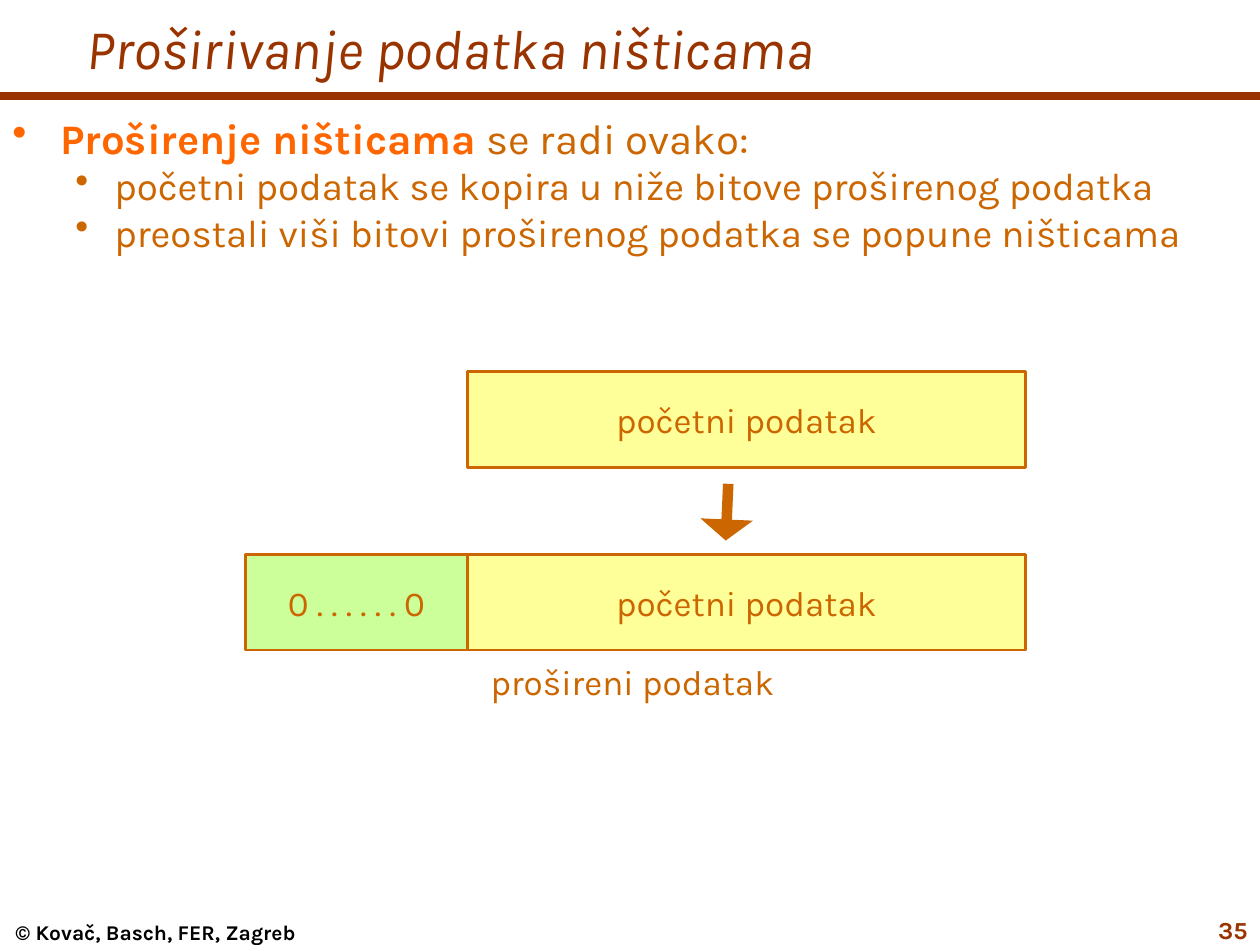
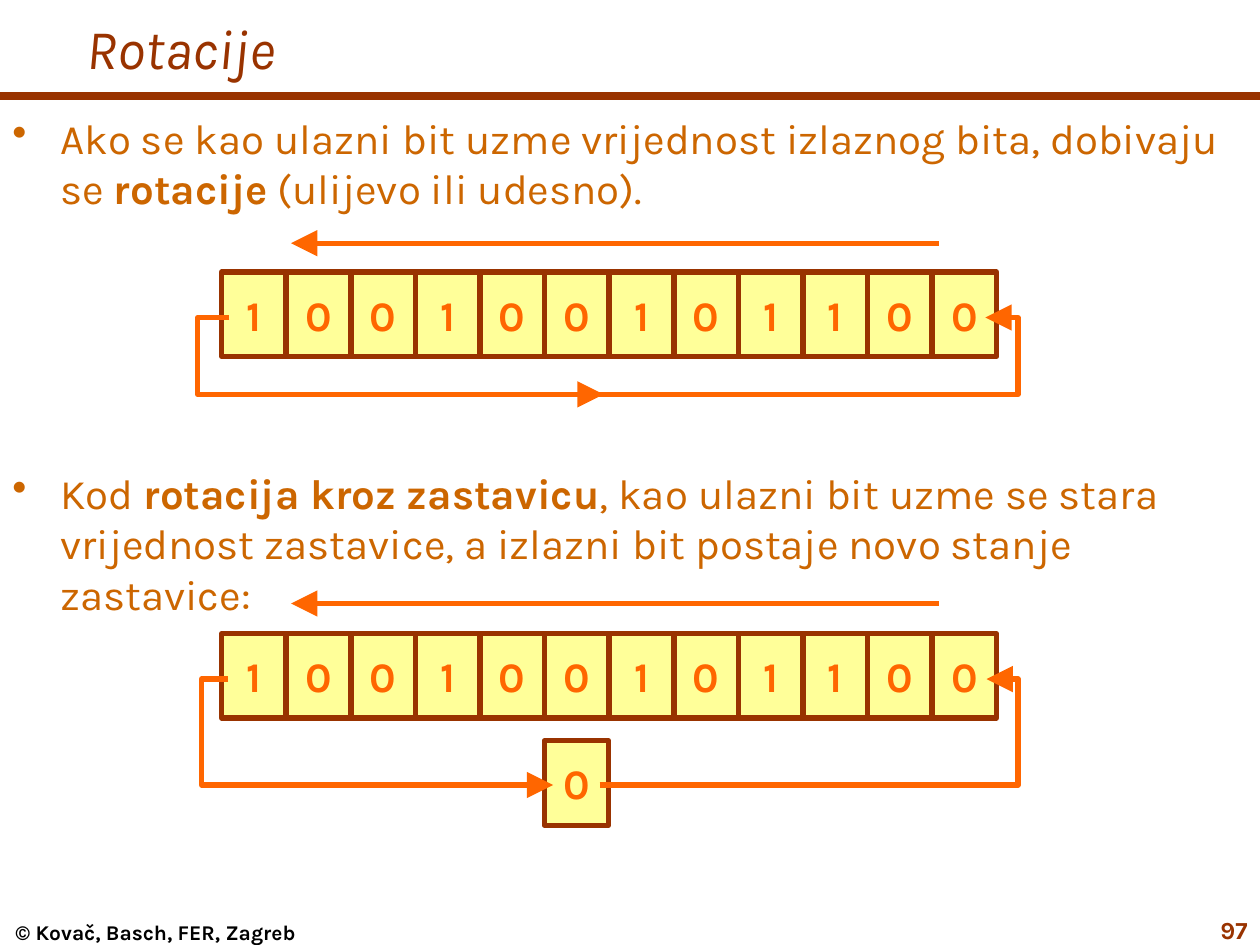
"""Build two lecture slides on extending data with zeros and on bit rotations."""
import pptx
import pptx.dml.color
import pptx.enum.shapes
import pptx.enum.text
import pptx.oxml.ns
import pptx.util
from lxml import etree

Inches = pptx.util.Inches
RGBColor = pptx.dml.color.RGBColor
Align = pptx.enum.text.PP_ALIGN
Anchor = pptx.enum.text.MSO_ANCHOR
qn = pptx.oxml.ns.qn
RECTANGLE = pptx.enum.shapes.MSO_SHAPE.RECTANGLE
STRAIGHT = pptx.enum.shapes.MSO_CONNECTOR.STRAIGHT

FONT = "Karla"
BLACK = RGBColor(0x00, 0x00, 0x00)
BROWN = RGBColor(0x99, 0x33, 0x00)
OCHRE = RGBColor(0xCC, 0x66, 0x00)
ORANGE = RGBColor(0xFF, 0x66, 0x00)
YELLOW = RGBColor(0xFF, 0xFF, 0x99)
GREEN = RGBColor(0xCC, 0xFF, 0x99)


def write_text(shape, paragraphs, size, color, align=Align.LEFT, anchor=Anchor.TOP,
               bold=False, italic=False, inset=(0.1, 0.05)):
    """Fill a shape with (runs, indents, size) paragraphs; a run is (text, bold, color)."""
    frame = shape.text_frame
    frame.word_wrap = True
    frame.vertical_anchor = anchor
    frame.margin_left = frame.margin_right = Inches(inset[0])
    frame.margin_top = frame.margin_bottom = Inches(inset[1])
    if isinstance(paragraphs, str):
        paragraphs = [([(paragraphs, bold, color)], None, size)]
    for index, (runs, indents, points) in enumerate(paragraphs):
        paragraph = frame.add_paragraph() if index else frame.paragraphs[0]
        paragraph.alignment = align
        if indents:
            properties = paragraph._p.get_or_add_pPr()
            properties.set("marL", str(Inches(indents[0])))
            properties.set("indent", str(-Inches(indents[1])))
            bullet_color = etree.SubElement(properties, qn("a:buClr"))
            etree.SubElement(bullet_color, qn("a:srgbClr"), val=str(runs[0][2]))
            etree.SubElement(properties, qn("a:buChar"), char="•")
        for text, run_bold, run_color in runs:
            run = paragraph.add_run()
            run.text = text
            run.font.name = FONT
            run.font.size = pptx.util.Pt(points)
            run.font.bold = run_bold
            run.font.italic = italic
            run.font.color.rgb = run_color


def style_line(shape, color, width, arrow_length=None):
    """Colour an outline, drop its shadow and optionally end it with a wide arrowhead."""
    shape.line.color.rgb = color
    shape.line.width = pptx.util.Pt(width)
    if arrow_length:
        etree.SubElement(shape.line._get_or_add_ln(), qn("a:tailEnd"),
                         type="triangle", w="lg", len=arrow_length)
    etree.SubElement(shape._element.spPr, qn("a:effectLst"))


presentation = pptx.Presentation()
presentation.slide_width = Inches(10)
presentation.slide_height = Inches(7.5)

MAIN = (0.38, 0.38)
SUB = (0.81, 0.31)
slide_texts = [
    ("Proširivanje podatka ništicama", "35", [
        (0.84, 9.71, 6.17, [
            ([("Proširenje ništicama", True, ORANGE), (" se radi ovako:", False, OCHRE)], MAIN, 24),
            ([("početni podatak se kopira u niže bitove proširenog podatka", False, OCHRE)], SUB, 22),
            ([("preostali viši bitovi proširenog podatka se popune ništicama", False, OCHRE)], SUB, 22),
        ]),
    ]),
    ("Rotacije", "97", [
        (0.84, 9.89, 0.9, [
            ([("Ako se kao ulazni bit uzme vrijednost izlaznog bita, dobivaju se ", False, OCHRE),
              ("rotacije", True, OCHRE), (" (ulijevo ili udesno).", False, OCHRE)], MAIN, 24),
        ]),
        (3.66, 9.89, 1.3, [
            ([("Kod ", False, OCHRE), ("rotacija kroz zastavicu", True, OCHRE),
              (", kao ulazni bit uzme se stara vrijednost zastavice, "
               "a izlazni bit postaje novo stanje zastavice:", False, OCHRE)], MAIN, 24),
        ]),
    ]),
]
for title, number, bodies in slide_texts:
    slide = presentation.slides.add_slide(presentation.slide_layouts[6])
    rule = slide.shapes.add_connector(STRAIGHT, 0, Inches(0.76), Inches(10), Inches(0.76))
    style_line(rule, BROWN, 4.5)
    footer = slide.shapes.add_textbox(0, Inches(7.3), Inches(2.47), Inches(0.2))
    write_text(footer, "© Kovač, Basch, FER, Zagreb", 12, BLACK, Align.CENTER, bold=True, inset=(0, 0))
    title_box = slide.shapes.add_textbox(Inches(0.59), 0, Inches(9.41), Inches(0.75))
    write_text(title_box, title, 32, BROWN, anchor=Anchor.MIDDLE, italic=True)
    for top, width, height, paragraphs in bodies:
        body = slide.shapes.add_textbox(0, Inches(top), Inches(width), Inches(height))
        write_text(body, paragraphs, 24, OCHRE)
    number_box = slide.shapes.add_textbox(Inches(9.17), Inches(7.21), Inches(0.83), Inches(0.28))
    write_text(number_box, number, 14, BROWN, Align.RIGHT, bold=True)

extension_slide, rotation_slide = presentation.slides

data_blocks = [
    ("početni podatak", 3.71, 2.95, 4.43, YELLOW),
    ("početni podatak", 3.71, 4.4, 4.43, YELLOW),
    ("0 . . . . . . 0", 1.95, 4.4, 1.76, GREEN),
]
for label, left, top, width, fill in data_blocks:
    block = extension_slide.shapes.add_shape(
        RECTANGLE, Inches(left), Inches(top), Inches(width), Inches(0.76))
    block.fill.solid()
    block.fill.fore_color.rgb = fill
    style_line(block, OCHRE, 1.5)
    write_text(block, label, 20, OCHRE, Align.CENTER, Anchor.MIDDLE)
caption = extension_slide.shapes.add_textbox(Inches(1.96), Inches(5.19), Inches(6.12), Inches(0.44))
write_text(caption, "prošireni podatak", 20, OCHRE, Align.CENTER)
copy_arrow = extension_slide.shapes.add_connector(
    STRAIGHT, Inches(5.78), Inches(3.84), Inches(5.76), Inches(4.29))
style_line(copy_arrow, OCHRE, 6, "sm")

BITS = "100100101100"
CELL_WIDTH = 0.51
CELL_PITCH = 0.5127
REGISTER_LEFT = 1.76
FLAG_CELL = ("0", 4.32, 5.88)
registers = [
    (2.16, 1.93, [], [
        [(1.82, 2.52), (1.57, 2.52), (1.57, 3.13), (4.79, 3.13)],
        [(4.59, 3.13), (8.08, 3.13), (8.08, 2.52), (7.82, 2.52)],
    ]),
    (5.03, 4.79, [FLAG_CELL], [
        [(1.81, 5.39), (1.6, 5.39), (1.6, 6.23), (4.39, 6.23)],
        [(4.76, 6.23), (8.08, 6.23), (8.08, 5.39), (7.83, 5.39)],
    ]),
]
for register_top, shift_y, extra_cells, loops in registers:
    cells = [(bit, REGISTER_LEFT + index * CELL_PITCH, register_top) for index, bit in enumerate(BITS)]
    for bit, left, top in cells + extra_cells:
        cell = rotation_slide.shapes.add_shape(
            RECTANGLE, Inches(left), Inches(top), Inches(CELL_WIDTH), Inches(0.67))
        cell.fill.solid()
        cell.fill.fore_color.rgb = YELLOW
        style_line(cell, BROWN, 3)
        write_text(cell, bit, 24, ORANGE, Align.CENTER, Anchor.MIDDLE, bold=True, inset=(0, 0.05))
    shift_arrow = rotation_slide.shapes.add_connector(
        STRAIGHT, Inches(7.45), Inches(shift_y), Inches(2.31), Inches(shift_y))
    style_line(shift_arrow, ORANGE, 3, "lg")
    for points in loops:
        start, *corners = [(Inches(x), Inches(y)) for x, y in points]
        builder = rotation_slide.shapes.build_freeform(*start)
        builder.add_line_segments(corners, close=False)
        bit_path = builder.convert_to_shape()
        bit_path.fill.background()
        style_line(bit_path, ORANGE, 3, "lg")

presentation.save("out.pptx")
